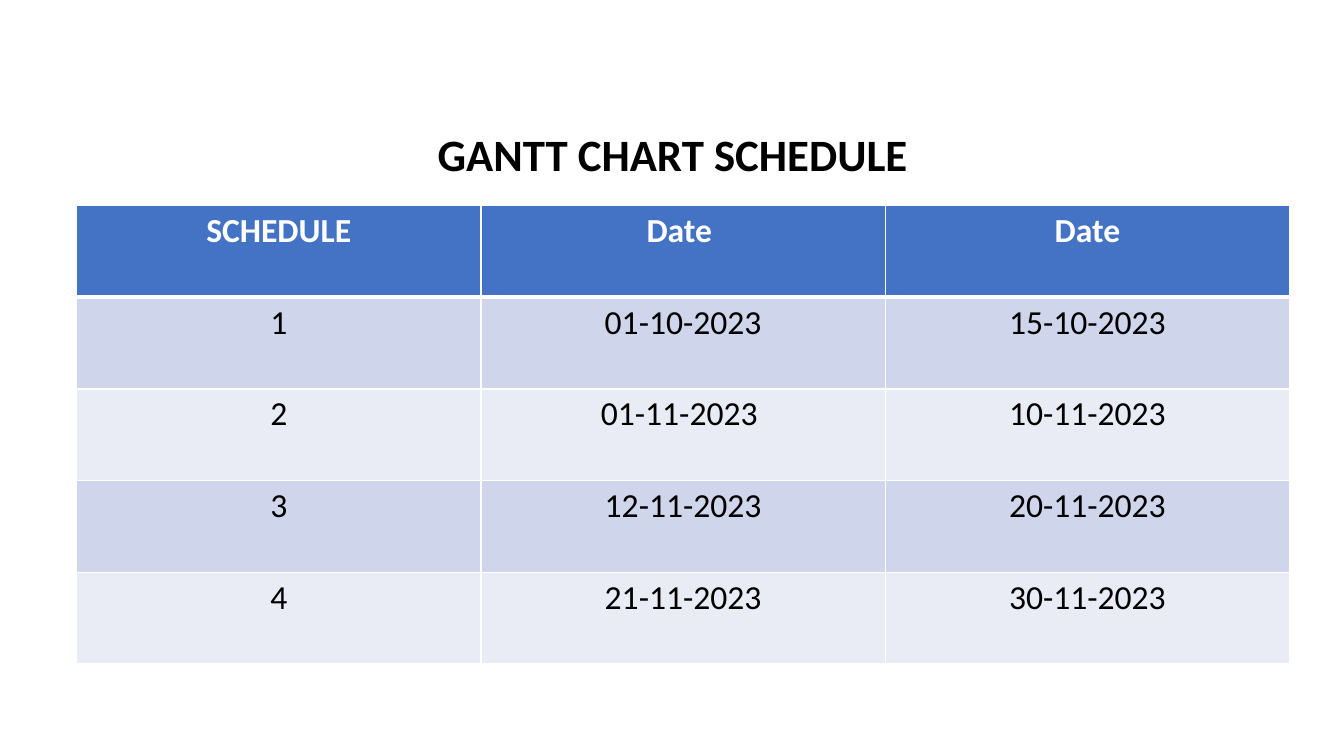
from lxml import etree
from pptx import Presentation
from pptx.dml.color import RGBColor
from pptx.enum import text
from pptx.oxml import ns
from pptx.util import Cm, Pt

FONT = "Calibri"
COLORS = {
    "white": "FFFFFF",
    "black": "000000",
    "head": "4472C4",
    "odd": "CFD5EA",
    "even": "E9EBF5",
}
ROWS = [
    ("SCHEDULE", "Date ", "Date"),
    ("1", "01-10-2023", "15-10-2023"),
    ("2", "01-11-2023 ", "10-11-2023"),
    ("3", "12-11-2023", "20-11-2023"),
    ("4", "21-11-2023", "30-11-2023"),
]


def rgb(name):
    return RGBColor.from_string(COLORS[name])


def write(frame, words, size, color, bold):
    """Put one centred run into the first paragraph of a text frame."""
    para = frame.paragraphs[0]
    para.alignment = text.PP_ALIGN.CENTER
    run = para.add_run()
    run.text = words
    font = run.font
    font.name, font.size, font.bold = FONT, Pt(size), bold
    font.color.rgb = rgb(color)
    return para


def add_title(slide, words):
    title = slide.shapes.title
    title.left, title.top = Cm(1.93), Cm(1.07)
    title.width, title.height = Cm(30.05), Cm(3.63)
    frame = title.text_frame
    frame.word_wrap = True
    frame.auto_size = text.MSO_AUTO_SIZE.NONE
    frame.vertical_anchor = text.MSO_ANCHOR.BOTTOM
    write(frame, words, 32, "black", True).line_spacing = 0.9


def set_edges(cell, **widths):
    """Draw white cell borders; widths in points by side, 1 by default."""
    props = cell._tc.get_or_add_tcPr()
    for side in "LRTB":
        width = Pt(widths.get(side, 1))
        line = etree.SubElement(props, ns.qn(f"a:ln{side}"), w=str(width))
        fill = etree.SubElement(line, ns.qn("a:solidFill"))
        etree.SubElement(fill, ns.qn("a:srgbClr"), val=COLORS["white"])


def add_table(slide, rows):
    table = slide.shapes.add_table(
        len(rows), len(rows[0]), Cm(1.93), Cm(5.18), Cm(30.57), Cm(11.55)
    ).table
    for i, row in enumerate(rows):
        head = i == 0
        shade = "head" if head else "odd" if i % 2 else "even"
        for j, words in enumerate(row):
            cell = table.cell(i, j)
            set_edges(cell, T=3 if i == 1 else 1, B=3 if head else 1)
            cell.fill.solid()
            cell.fill.fore_color.rgb = rgb(shade)
            write(cell.text_frame, words, 24, "white" if head else "black", head)


def main():
    deck = Presentation()
    deck.slide_width, deck.slide_height = Cm(33.87), Cm(19.05)
    slide = deck.slides.add_slide(deck.slide_layouts.get_by_name("Title Only"))
    add_title(slide, "GANTT CHART SCHEDULE")
    add_table(slide, ROWS)
    deck.save("out.pptx")


if __name__ == "__main__":
    main()
